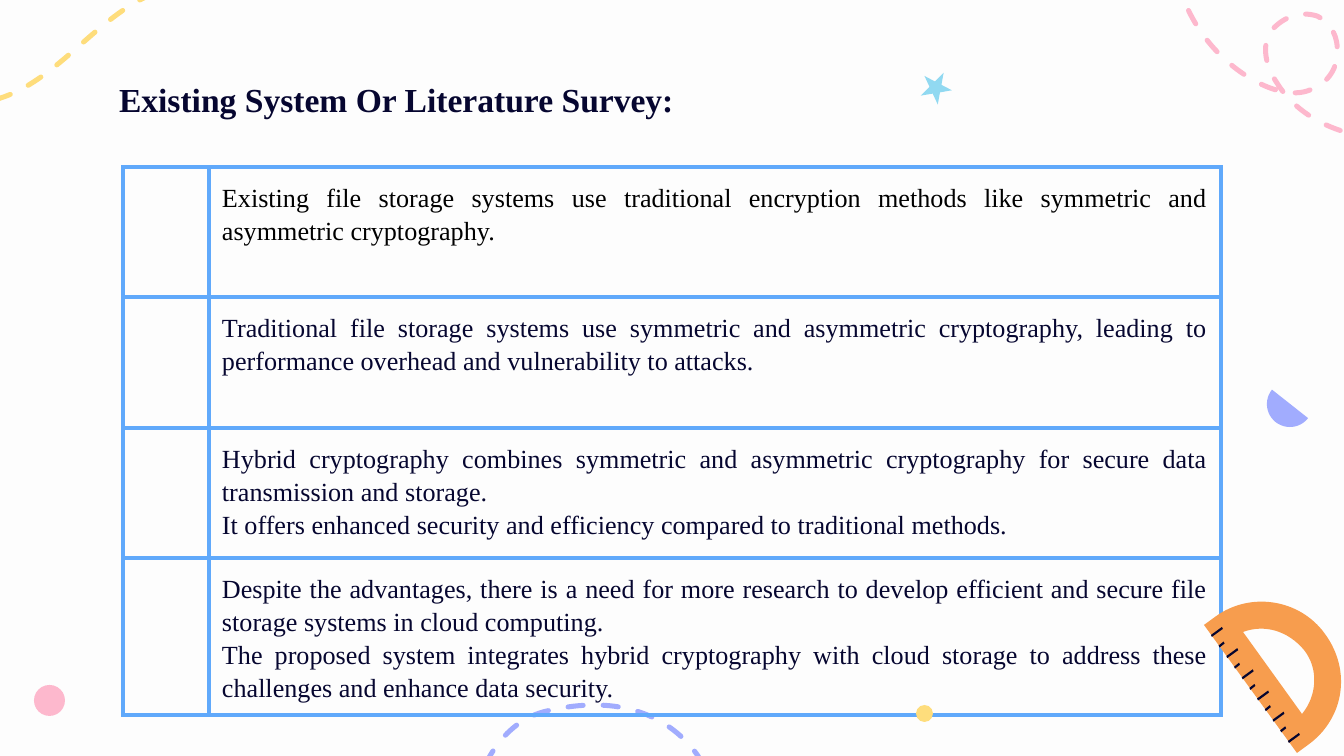
import dataclasses

import pptx
import pptx.dml.color
import pptx.enum.dml
import pptx.enum.shapes
import pptx.enum.text
import pptx.oxml
import pptx.oxml.ns
import pptx.util

EMU_PER_PX = 914400 / 134.4
SHAPE = pptx.enum.shapes.MSO_SHAPE
ALIGN = pptx.enum.text.PP_ALIGN


@dataclasses.dataclass(frozen=True)
class Theme:
    font: str = "Times New Roman"
    title_size: int = 18
    body_size: int = 14
    line_width: float = 2.69
    border_width: float = 2.25
    background: str = "FDFDFD"
    ink: str = "060630"
    black: str = "000000"
    border: str = "60A9FB"
    violet: str = "A1ACFE"
    yellow: str = "FEDD7C"
    pink: str = "FDB8CD"
    sky: str = "91D9F1"
    orange: str = "F79D4E"


THEME = Theme()

SURVEY = [
    ["Existing file storage systems use traditional encryption methods like symmetric and "
     "asymmetric cryptography."],
    ["Traditional file storage systems use symmetric and asymmetric cryptography, leading to "
     "performance overhead and vulnerability to attacks."],
    ["Hybrid cryptography combines symmetric and asymmetric cryptography for secure data "
     "transmission and storage.",
     "It offers enhanced security and efficiency compared to traditional methods."],
    ["Despite the advantages, there is a need for more research to develop efficient and secure "
     "file storage systems in cloud computing.",
     "The proposed system integrates hybrid cryptography with cloud storage to address these "
     "challenges and enhance data security."],
]
COLUMN_WIDTHS = [86, 1012]
ROW_HEIGHTS = [130, 131, 130, 157]

# An outline is a list of points; six numbers are two control points and an end.
VIOLET_ARC = [(712, 797), (719, 784, 679, 677, 543, 712), (500, 724, 472, 774, 474, 820)]
YELLOW_WAVE = [(257, -5), (235, -11, 214, -15, 191, -15), (168, -13, 146, -5, 128, 7),
               (77, 40, 39, 97, -23, 103), (-42, 105, -60, 98, -75, 86),
               (-90, 74, -99, 54, -94, 36)]
PINK_LOOP = [(1206, -156), (1179, -120, 1167, -71, 1176, -27), (1185, 19, 1215, 59, 1255, 81),
             (1271, 90, 1293, 97, 1310, 90), (1325, 85, 1337, 71, 1337, 54),
             (1339, 38, 1331, 22, 1317, 16), (1301, 11, 1284, 16, 1271, 31),
             (1261, 46, 1266, 67, 1277, 83), (1296, 114, 1333, 133, 1370, 137),
             (1406, 142, 1443, 134, 1480, 125)]
PROTRACTOR = [(1204, 625), (1297, 753), (1308, 745), (1344, 719, 1352, 671, 1325, 634),
              (1300, 599, 1250, 591, 1215, 617)]
PROTRACTOR_HOLE = [(1302, 714), (1243, 632), (1265, 624, 1288, 631, 1304, 650),
                   (1319, 669, 1317, 696, 1302, 714)]


def px(length):
    return pptx.util.Emu(round(length * EMU_PER_PX))


def rgb(value):
    return pptx.dml.color.RGBColor.from_string(value)


def add_text(para, text, *, size, color, bold=False, align=ALIGN.LEFT, spacing=1.0):
    para.alignment = align
    para.line_spacing = spacing
    span = para.add_run()
    span.text = text
    span.font.name = THEME.font
    span.font.size = pptx.util.Pt(size)
    span.font.bold = bold
    span.font.color.rgb = rgb(color)


def fill_plain(shape, color):
    shape.shadow.inherit = False
    shape.fill.solid()
    shape.fill.fore_color.rgb = rgb(color)
    shape.line.fill.background()


def add_preset(page, kind, left, top, size, color, rotation=0):
    shape = page.shapes.add_shape(kind, px(left), px(top), px(size), px(size))
    fill_plain(shape, color)
    shape.rotation = rotation
    return shape


def bend_segments(shape, pieces):
    """Turn the straight segments that have control points into Bézier curves."""
    segments = list(shape._element.iter(pptx.oxml.ns.qn("a:lnTo")))
    for segment, piece in zip(segments, pieces):
        if len(piece) == 6:
            points = "".join(
                f'<a:pt x="{px(x) - shape.left}" y="{px(y) - shape.top}"/>'
                for x, y in zip(piece[::2], piece[1::2]))
            curve = pptx.oxml.parse_xml(
                f'<a:cubicBezTo {pptx.oxml.ns.nsdecls("a")}>{points}</a:cubicBezTo>')
            segment.getparent().replace(segment, curve)


def add_outlines(page, outlines, closed):
    contours = [[(px(piece[-2]), px(piece[-1])) for piece in outline] for outline in outlines]
    builder = page.shapes.build_freeform(*contours[0][0])
    for index, contour in enumerate(contours):
        if index:
            builder.move_to(*contour[0])
        builder.add_line_segments(contour[1:], close=False)
        if closed:
            builder.add_line_segments([contour[0]], close=True)
    shape = builder.convert_to_shape()
    closing = [(0, 0)] if closed else []
    bend_segments(shape, [piece for outline in outlines for piece in outline[1:] + closing])
    return shape


def add_dashed_curve(page, outline, color):
    curve = add_outlines(page, [outline], closed=False)
    curve.shadow.inherit = False
    curve.fill.background()
    curve.line.color.rgb = rgb(color)
    curve.line.width = pptx.util.Pt(THEME.line_width)
    curve.line.dash_style = pptx.enum.dml.MSO_LINE.DASH
    curve.line._get_or_add_ln().set("cap", "rnd")


def add_protractor(page):
    body = add_outlines(page, [PROTRACTOR, PROTRACTOR_HOLE], closed=True)
    fill_plain(body, THEME.orange)
    ticks = []
    for index in range(11):
        x, y = 1212 + 7.7 * index, 637 + 10.6 * index
        run, rise = (5, 4) if index % 2 else (11, 8)
        ticks.append([(x, y), (x + run, y - rise), (x + run - 1, y - rise - 2), (x - 1, y - 2)])
    fill_plain(add_outlines(page, ticks, closed=True), THEME.ink)


def set_borders(cell):
    properties = cell._tc.get_or_add_tcPr()
    for position, side in enumerate(("lnL", "lnR", "lnT", "lnB")):
        line = pptx.oxml.parse_xml(
            f'<a:{side} {pptx.oxml.ns.nsdecls("a")} w="{pptx.util.Pt(THEME.border_width)}">'
            f'<a:solidFill><a:srgbClr val="{THEME.border}"/></a:solidFill></a:{side}>')
        properties.insert(position, line)


def add_survey_table(page):
    table = page.shapes.add_table(
        len(SURVEY), len(COLUMN_WIDTHS), px(123), px(167),
        px(sum(COLUMN_WIDTHS)), px(sum(ROW_HEIGHTS))).table
    table.first_row = table.horz_banding = False
    for column, width in zip(table.columns, COLUMN_WIDTHS):
        column.width = px(width)
    for index, (row, height, texts) in enumerate(zip(table.rows, ROW_HEIGHTS, SURVEY)):
        row.height = px(height)
        for cell in row.cells:
            cell.fill.background()
            set_borders(cell)
            cell.margin_left = cell.margin_right = cell.margin_top = px(13)
            cell.margin_bottom = 0
        frame = row.cells[1].text_frame
        for number, text in enumerate(texts):
            para = frame.add_paragraph() if number else frame.paragraphs[0]
            add_text(para, text, size=THEME.body_size, align=ALIGN.JUSTIFY, spacing=1.15,
                     color=THEME.ink if index else THEME.black)


def set_title(page, text):
    title = page.shapes.title
    title.left, title.top, title.width, title.height = px(106), px(66), px(1133), px(85)
    frame = title.text_frame
    frame.word_wrap = True
    frame.auto_size = pptx.enum.text.MSO_AUTO_SIZE.NONE
    frame.vertical_anchor = pptx.enum.text.MSO_ANCHOR.TOP
    frame.margin_left = frame.margin_right = frame.margin_top = frame.margin_bottom = px(13)
    add_text(frame.paragraphs[0], text, size=THEME.title_size, color=THEME.ink, bold=True)


def main():
    deck = pptx.Presentation()
    deck.slide_width, deck.slide_height = px(1344), px(756)
    page = deck.slides.add_slide(deck.slide_layouts[5])
    page.background.fill.solid()
    page.background.fill.fore_color.rgb = rgb(THEME.background)

    set_title(page, "Existing System Or Literature Survey:")
    add_dashed_curve(page, VIOLET_ARC, THEME.violet)
    add_dashed_curve(page, YELLOW_WAVE, THEME.yellow)
    add_dashed_curve(page, PINK_LOOP, THEME.pink)
    add_preset(page, SHAPE.OVAL, 34, 685, 31, THEME.pink)
    chord = add_preset(page, SHAPE.CHORD, 1267, 381, 46, THEME.violet, rotation=308.8)
    chord.adjustments[0], chord.adjustments[1] = 53.43, 162
    add_survey_table(page)
    add_preset(page, SHAPE.OVAL, 916, 705, 17, THEME.yellow)
    add_preset(page, SHAPE.STAR_5_POINT, 921, 71, 31, THEME.sky, rotation=27.6)
    add_protractor(page)
    deck.save("out.pptx")


if __name__ == "__main__":
    main()
